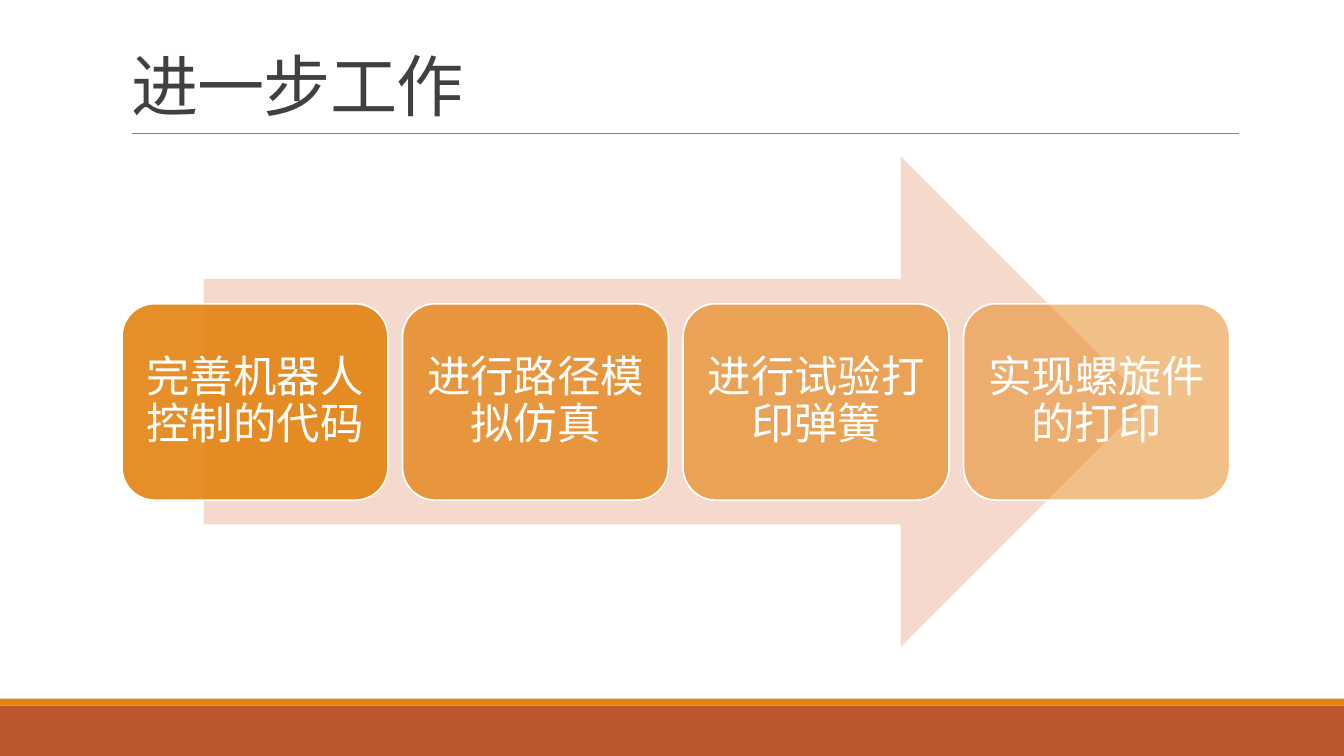
"""Build the further-work slide: four steps along a wide arrow."""
import pptx
import pptx.util
import pptx.dml.color
import pptx.enum.shapes
import pptx.enum.text
import pptx.oxml
import lxml.etree

Pt = pptx.util.Pt
SHAPE = pptx.enum.shapes.MSO_SHAPE
ALIGN = pptx.enum.text.PP_ALIGN
ANCHOR = pptx.enum.text.MSO_ANCHOR

TITLE = "进一步工作"
STEPS = [
    ("完善机器人控制的代码", 90),
    ("进行路径模拟仿真", 77),
    ("进行试验打印弹簧", 63),
    ("实现螺旋件的打印", 50),
]
COLORS = {"rust": "BD582C", "orange": "E48312", "arrow": "F5D9CC",
          "rule": "808080", "title": "404040", "white": "FFFFFF"}
WIDTH, HEIGHT = 960, 540
BANDS = [(504, 36, "rust"), (499, 5, "orange")]
RULE = (94.3, 95.3, 885.3, 95.3)
TITLE_BOX = (86.4, 22.3, 792, 70.6)
ARROW_BOX = (145.4, 111.6, 673.2, 350.6)
CARD_LEFT, CARD_TOP, CARD_WIDTH, CARD_HEIGHT, CARD_GAP = 87.1, 216.9, 190, 140.4, 10.4
CARD_INSET = 9.2


def rgb(name):
    """Return the named colour."""
    return pptx.dml.color.RGBColor.from_string(COLORS[name])


def apply(obj, values):
    """Set attributes from a dict."""
    for key, value in values.items():
        setattr(obj, key, value)


def add_filled(slide, kind, box, color):
    """Add a flat shape without outline."""
    sp = slide.shapes.add_shape(kind, *map(Pt, box))
    sp.shadow.inherit = False
    sp.fill.solid()
    sp.fill.fore_color.rgb = rgb(color)
    sp.line.fill.background()
    return sp


def write(sp, text, frame, paragraph, font, color):
    """Put one formatted paragraph into a shape."""
    tf = sp.text_frame
    apply(tf, {"word_wrap": True, "auto_size": pptx.enum.text.MSO_AUTO_SIZE.NONE, **frame})
    p = tf.paragraphs[0]
    apply(p, paragraph)
    r = p.add_run()
    r.text = text
    apply(r.font, {"name": "Calibri", **font})
    r.font.color.rgb = rgb(color)
    return r


def add_card(slide, index, text, opacity):
    """Add one step card."""
    left = CARD_LEFT + index * (CARD_WIDTH + CARD_GAP)
    sp = add_filled(slide, SHAPE.ROUNDED_RECTANGLE,
                    (left, CARD_TOP, CARD_WIDTH, CARD_HEIGHT), "orange")
    color = sp.fill._xPr.find(".//" + pptx.oxml.ns.qn("a:srgbClr"))
    lxml.etree.SubElement(color, pptx.oxml.ns.qn("a:alpha"), val=str(opacity * 1000))
    sp.line.color.rgb = rgb("white")
    sp.line.width = Pt(1.25)
    frame = {f"margin_{side}": Pt(CARD_INSET) for side in ("left", "top", "right", "bottom")}
    write(sp, text, {"vertical_anchor": ANCHOR.MIDDLE, **frame},
          {"alignment": ALIGN.CENTER, "line_spacing": 0.9}, {"size": Pt(31)}, "white")


def main():
    """Compose and save the slide."""
    prs = pptx.Presentation()
    apply(prs, {"slide_width": Pt(WIDTH), "slide_height": Pt(HEIGHT)})
    s = prs.slides.add_slide(prs.slide_layouts[5])

    for top, height, color in BANDS:
        add_filled(s, SHAPE.RECTANGLE, (0, top, WIDTH, height), color)

    rule = s.shapes.add_connector(pptx.enum.shapes.MSO_CONNECTOR.STRAIGHT, *map(Pt, RULE))
    rule.line.color.rgb = rgb("rule")
    rule.line.width = Pt(0.5)
    lxml.etree.SubElement(rule._element.spPr, pptx.oxml.ns.qn("a:effectLst"))

    title = s.shapes.title
    apply(title, dict(zip(("left", "top", "width", "height"), map(Pt, TITLE_BOX))))
    r = write(title, TITLE, {"vertical_anchor": ANCHOR.BOTTOM},
              {"alignment": ALIGN.LEFT, "line_spacing": 0.85}, {"size": Pt(48)}, "title")
    r._r.get_or_add_rPr().set("spc", "-50")

    add_filled(s, SHAPE.RIGHT_ARROW, ARROW_BOX, "arrow")
    for index, (text, opacity) in enumerate(STEPS):
        add_card(s, index, text, opacity)

    prs.save("out.pptx")


if __name__ == "__main__":
    main()
